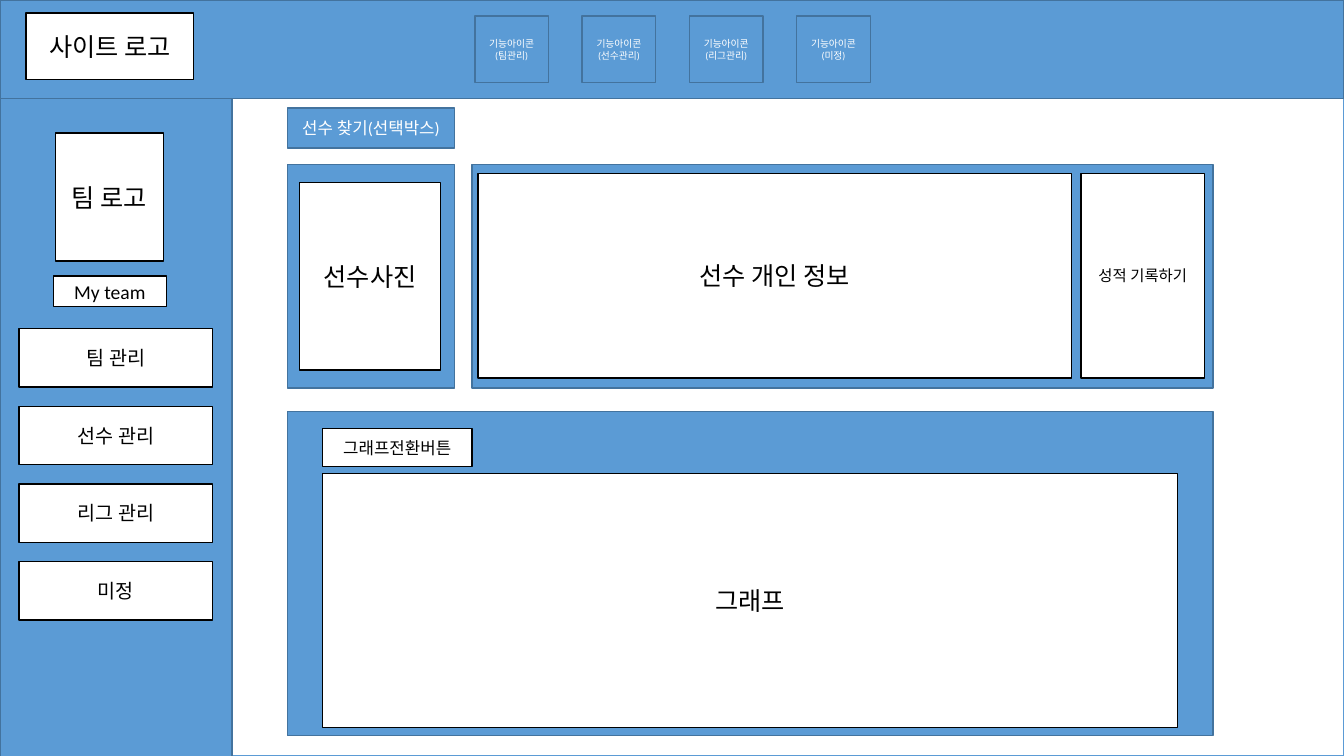
from pptx import Presentation
from pptx.dml.color import RGBColor
from pptx.enum import shapes, text
from pptx.util import Inches, Pt

COLORS = {"white": "FFFFFF", "black": "000000", "blue": "5B9BD5", "navy": "43739E"}
FONT = "Calibri"

# style: fill, line, text colour
STYLES = {
    "page": ("white", "blue", "black"),
    "panel": ("blue", "navy", "white"),
    "box": ("white", "black", "black"),
}

# left, top, width, height
PAGE = (0, 0, 13.33, 7.5)
PANELS = {
    "sidebar": (0, 0.03, 2.3, 7.5),
    "header": (0, 0, 13.33, 0.98),
    "player photo": (2.85, 1.63, 1.66, 2.22),
    "graph": (2.85, 4.08, 9.18, 3.22),
    "player details": (4.68, 1.63, 7.35, 2.22),
}

ICON_TOPICS = ["팀관리", "선수관리", "리그관리", "미정"]
ICON_START, ICON_STEP = 4.71, 1.064

MENU = ["팀 관리", "선수 관리", "리그 관리", "미정"]
MENU_START, MENU_STEP = 3.26, 0.77

# label, text size, place
BOXES = [
    ("그래프", 18, (3.2, 4.7, 8.48, 2.52)),
    ("팀 로고", 18, (0.55, 1.32, 1.07, 1.27)),
    ("사이트 로고", 18, (0.26, 0.13, 1.66, 0.66)),
    ("선수사진", 18, (2.97, 1.81, 1.4, 1.86)),
    ("선수 개인 정보", 18, (4.74, 1.72, 5.89, 2.03)),
    ("그래프전환버튼", 12, (3.2, 4.25, 1.48, 0.38)),
    ("My team", 14, (0.53, 2.74, 1.12, 0.3)),
    ("성적 기록하기", 11, (10.72, 1.72, 1.23, 2.03)),
]
PLAYER_SEARCH = ("선수 찾기(선택박스)", 12, (2.85, 1.07, 1.66, 0.4))


def rgb(name):
    return RGBColor.from_string(COLORS[name])


def add_block(slide, style, place, label="", size=18):
    """Draw a rectangle with an optional centred label, one paragraph a line."""
    fill, line, ink = STYLES[style]
    block = slide.shapes.add_shape(
        shapes.MSO_SHAPE.RECTANGLE, *(Inches(length) for length in place))
    block.shadow.inherit = False
    block.fill.solid()
    block.fill.fore_color.rgb = rgb(fill)
    block.line.color.rgb = rgb(line)
    block.line.width = Pt(1)
    if not label:
        return
    frame = block.text_frame
    frame.text = label
    frame.word_wrap = True
    frame.vertical_anchor = text.MSO_ANCHOR.MIDDLE
    for paragraph in frame.paragraphs:
        paragraph.alignment = text.PP_ALIGN.CENTER
        for run in paragraph.runs:
            run.font.name = FONT
            run.font.size = Pt(size)
            run.font.color.rgb = rgb(ink)


def main():
    deck = Presentation()
    deck.slide_width, deck.slide_height = Inches(13.33), Inches(7.5)
    slide = deck.slides.add_slide(deck.slide_layouts[6])
    slide.background.fill.solid()
    slide.background.fill.fore_color.rgb = rgb("black")

    add_block(slide, "page", PAGE)
    for place in PANELS.values():
        add_block(slide, "panel", place)

    for i, topic in enumerate(ICON_TOPICS):
        place = (ICON_START + i * ICON_STEP, 0.16, 0.73, 0.66)
        add_block(slide, "panel", place, f"기능아이콘\n({topic})", 7)

    for label, size, place in BOXES:
        add_block(slide, "box", place, label, size)

    label, size, place = PLAYER_SEARCH
    add_block(slide, "panel", place, label, size)

    for i, label in enumerate(MENU):
        place = (0.19, MENU_START + i * MENU_STEP, 1.92, 0.58)
        add_block(slide, "box", place, label, 14)

    deck.save("out.pptx")


if __name__ == "__main__":
    main()
